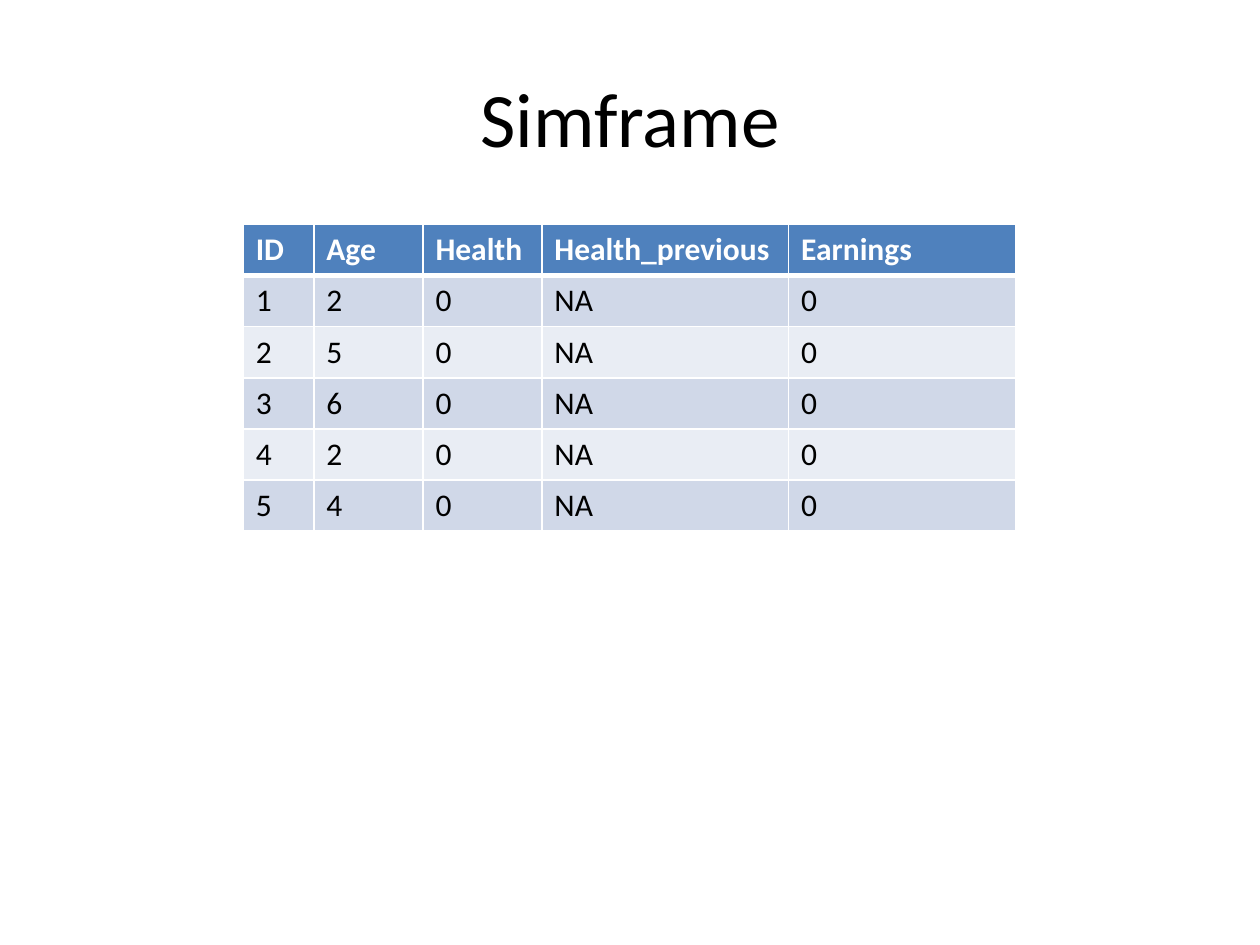
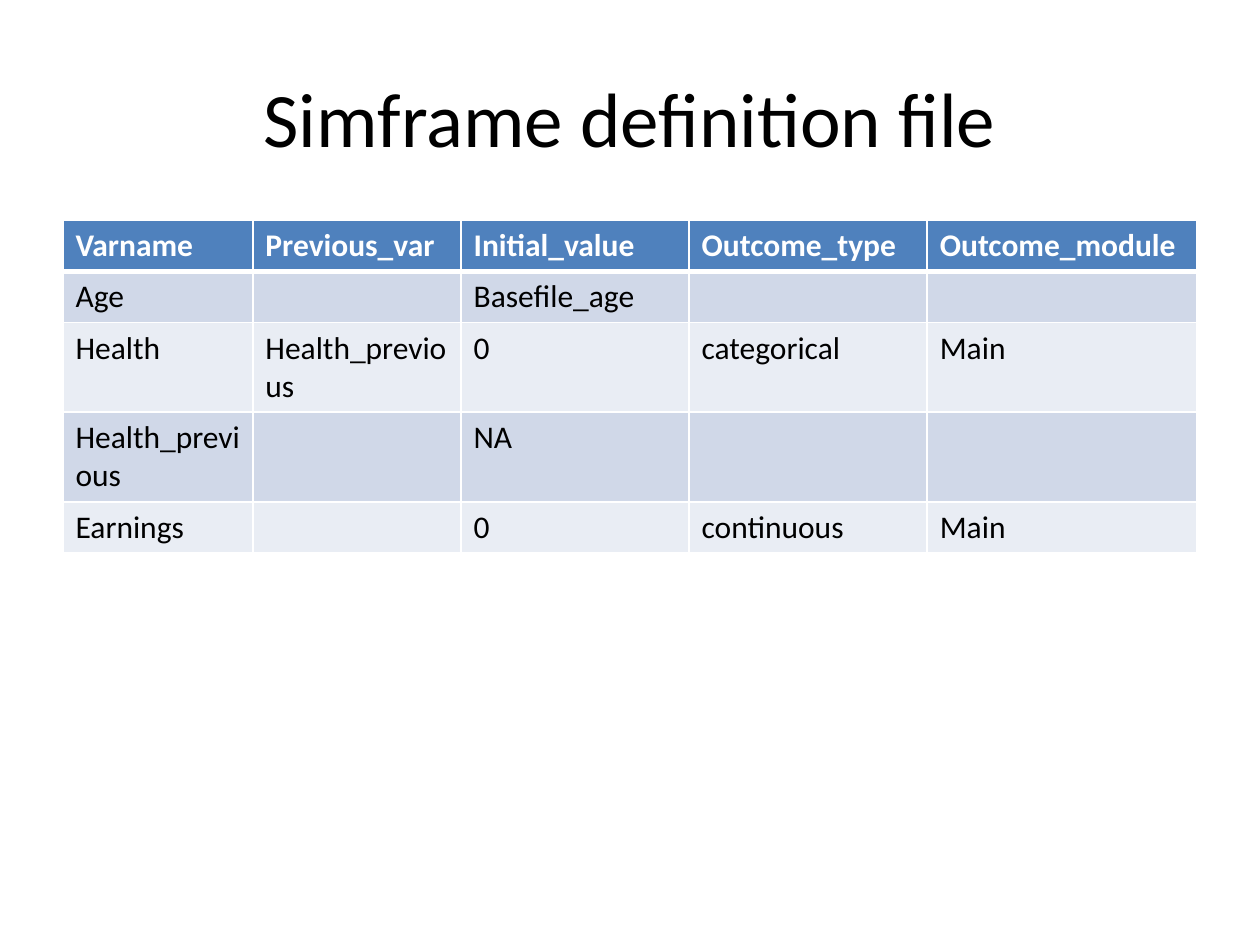
from lxml import etree
from pptx import Presentation
from pptx.dml.color import RGBColor
from pptx.enum import text
from pptx.oxml import ns
from pptx.util import Pt

COLOURS = {
    "text": "000000",
    "white": "FFFFFF",
    "header": "4F81BD",
    "odd row": "D0D8E8",
    "even row": "E9EDF4",
}
FONT = "Calibri"
ROW_HEIGHT = 29.2
THIN, THICK = 1, 3

SLIDES = [
    {
        "title": "Simframe",
        "left": 139,
        "top": 128.3,
        "widths": [40.3, 62.4, 68, 141, 129.6],
        "rows": [
            ["ID", "Age", "Health", "Health_previous", "Earnings"],
            ["1", "2", "0", "NA", "0"],
            ["2", "5", "0", "NA", "0"],
            ["3", "6", "0", "NA", "0"],
            ["4", "2", "0", "NA", "0"],
            ["5", "4", "0", "NA", "0"],
        ],
    },
    {
        "title": "Simframe definition file",
        "left": 36,
        "top": 126,
        "widths": [108.5, 119, 130.3, 136.1, 154.1],
        "rows": [
            ["Varname", "Previous_var", "Initial_value", "Outcome_type", "Outcome_module"],
            ["Age", "", "Basefile_age", "", ""],
            ["Health", "Health_previous", "0", "categorical", "Main"],
            ["Health_previous", "", "NA", "", ""],
            ["Earnings", "", "0", "continuous", "Main"],
        ],
    },
]


def style_font(paragraph, size, colour, bold=False):
    """Set the font of a whole paragraph."""
    font = paragraph.font
    font.name, font.size, font.bold = FONT, Pt(size), bold
    font.color.rgb = RGBColor.from_string(COLOURS[colour])


def add_borders(cell, top, bottom):
    """Draw white lines around a cell, in the order the schema asks for."""
    properties = cell._tc.get_or_add_tcPr()
    widths = {"lnL": THIN, "lnR": THIN, "lnT": top, "lnB": bottom}
    for index, (side, width) in enumerate(widths.items()):
        line = etree.Element(ns.qn(f"a:{side}"), w=str(Pt(width)))
        fill = etree.SubElement(line, ns.qn("a:solidFill"))
        etree.SubElement(fill, ns.qn("a:srgbClr"), val=COLOURS["white"])
        properties.insert(index, line)


deck = Presentation()
deck.slide_width, deck.slide_height = Pt(720), Pt(540)
title_only = deck.slide_layouts[5]

for content in SLIDES:
    page = deck.slides.add_slide(title_only)
    page.background.fill.solid()
    page.background.fill.fore_color.rgb = RGBColor.from_string(COLOURS["white"])

    title = page.shapes.title
    title.left, title.top, title.width, title.height = Pt(36), Pt(21.6), Pt(648), Pt(90)
    title.text_frame.text = content["title"]
    title.text_frame.vertical_anchor = text.MSO_ANCHOR.MIDDLE
    heading = title.text_frame.paragraphs[0]
    heading.alignment = text.PP_ALIGN.CENTER
    style_font(heading, 44, "text")

    rows, widths = content["rows"], content["widths"]
    table = page.shapes.add_table(
        len(rows), len(widths), Pt(content["left"]), Pt(content["top"]),
        Pt(sum(widths)), Pt(ROW_HEIGHT * len(rows)),
    ).table
    for column, width in zip(table.columns, widths):
        column.width = Pt(width)

    for row_index, values in enumerate(rows):
        table.rows[row_index].height = Pt(ROW_HEIGHT)
        is_header = row_index == 0
        band = "header" if is_header else "odd row" if row_index % 2 else "even row"
        for column_index, value in enumerate(values):
            cell = table.cell(row_index, column_index)
            cell.text = value
            cell.fill.solid()
            cell.fill.fore_color.rgb = RGBColor.from_string(COLOURS[band])
            style_font(cell.text_frame.paragraphs[0], 18,
                       "white" if is_header else "text", is_header)
            add_borders(cell, top=THICK if row_index == 1 else THIN,
                        bottom=THICK if is_header else THIN)

deck.save("out.pptx")
